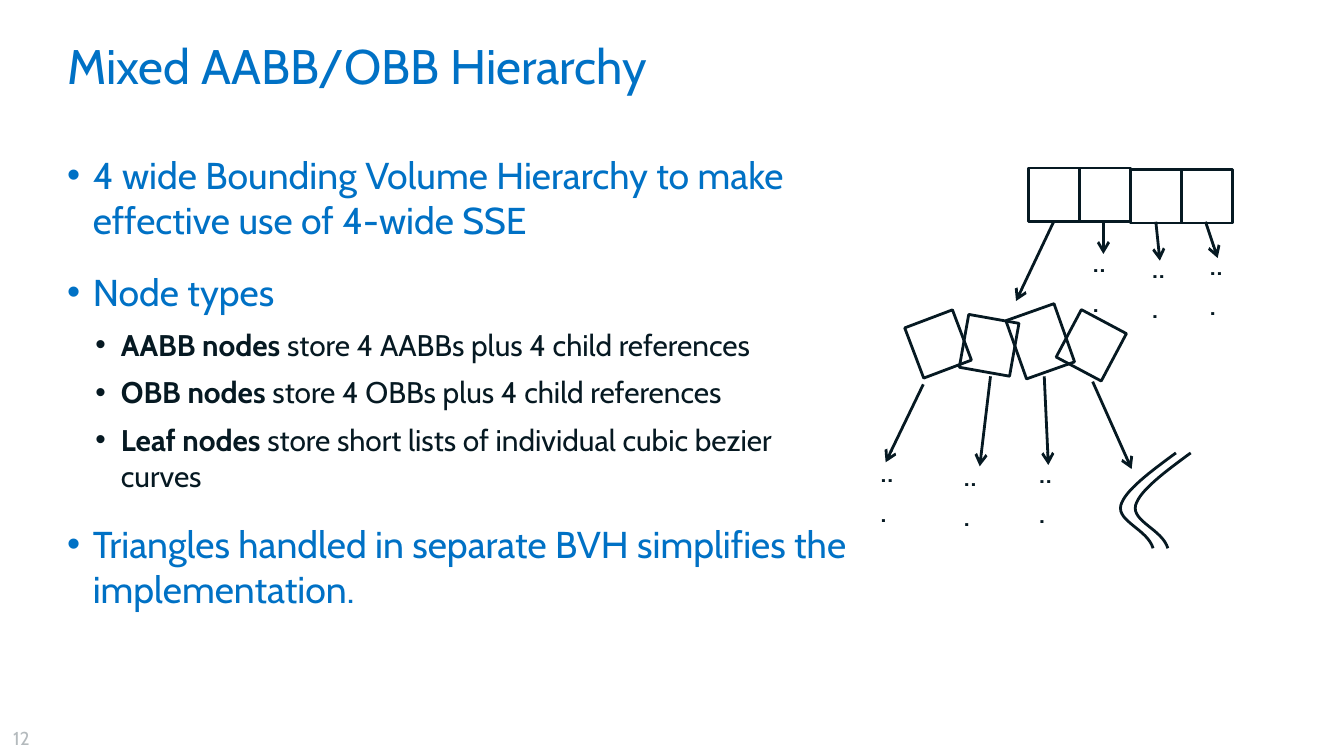
from pptx import Presentation
from pptx.dml.color import RGBColor
from pptx.enum.shapes import MSO_CONNECTOR, MSO_SHAPE
from pptx.enum.text import MSO_ANCHOR, MSO_AUTO_SIZE, PP_ALIGN
from pptx.oxml.ns import qn
from pptx.util import Inches, Pt
from lxml import etree

RECT = MSO_SHAPE.RECTANGLE
LINE = MSO_CONNECTOR.STRAIGHT
TOP = MSO_ANCHOR.TOP
LEFT = PP_ALIGN.LEFT
FIXED = MSO_AUTO_SIZE.NONE
FACE, BLUE, DARK, GREY, WHITE = "Cabin", "0071C5", "061922", "B4BABD", "FFFFFF"

# Content
TITLE = "Mixed AABB/OBB Hierarchy"
POINTS = [  # level, bold lead, text
    (0, "", "4 wide Bounding Volume Hierarchy to make effective use of 4-wide SSE"),
    (0, "", "Node types"),
    (1, "AABB nodes ", "store 4 AABBs plus 4 child references"),
    (1, "OBB nodes ", "store 4 OBBs plus 4 child references"),
    (1, "Leaf nodes ", "store short lists of individual cubic bezier curves"),
    (0, "", "Triangles handled in separate BVH simplifies the implementation."),
]
LEVELS = [  # size, colour, space before, indent
    (20, BLUE, 15, 0.19),
    (16, DARK, 6.4, 0.4),
]

# Diagram, in inches
SIDE, TALL = 0.38, 0.4
AABB_X, AABB_TOPS = 7.65, [1.25, 1.25, 1.26, 1.26]
OBB_X = 6.79
OBBS = [(2.36, TALL, -20.7), (2.37, TALL, 10.1),  # top, height, turn
        (2.31, 0.46, -19.5), (2.37, TALL, 28)]
ARROWS = [
    (7.84, 1.65, 7.56, 2.24), (8.21, 1.65, 8.21, 1.89),
    (8.6, 1.65, 8.63, 1.94), (8.97, 1.65, 9.06, 1.92),
    (6.87, 2.86, 6.59, 3.44), (7.37, 2.8, 7.29, 3.47),
    (7.77, 2.8, 7.8, 3.46), (8.13, 2.84, 8.42, 3.49),
]
DOTS = [(8.03, 1.73), (8.47, 1.77), (8.9, 1.75),
        (6.45, 3.29), (7.07, 3.32), (7.63, 3.3)]
HAIR = [  # two cubic pieces that share a point
    [(8.75, 3.37), (8.56, 3.51), (8.37, 3.65), (8.34, 3.76)],
    [(8.34, 3.76), (8.31, 3.88), (8.54, 3.94), (8.58, 4.08)],
]
HAIR_GAP, STEPS = 0.11, 16


def rgb(code):
    return RGBColor.from_string(code)


def style(para, size, color):
    font = para.font
    font.name, font.size, font.color.rgb = FACE, Pt(size), rgb(color)


def stroke(line):
    line.color.rgb, line.width = rgb(DARK), Pt(1.5)


def place(holder, *box):
    holder.left, holder.top, holder.width, holder.height = map(Inches, box)
    frame = holder.text_frame
    frame.margin_left = frame.margin_right = 0
    frame.margin_top = frame.margin_bottom = 0
    frame.vertical_anchor, frame.auto_size = TOP, FIXED
    frame.word_wrap = True
    return frame


def bullet(para, indent, color):
    props = para._p.get_or_add_pPr()
    props.set("marL", str(Inches(indent)))
    props.set("indent", str(Inches(-0.19)))
    tint = etree.SubElement(props, qn("a:buClr"))
    etree.SubElement(tint, qn("a:srgbClr"), val=color)
    etree.SubElement(props, qn("a:buFont"), typeface="Arial")
    etree.SubElement(props, qn("a:buChar"), char="•")


def label(text, size, color, *box):
    frame = slide.shapes.add_textbox(*map(Inches, box)).text_frame
    frame.word_wrap = True
    frame.text = text
    style(frame.paragraphs[0], size, color)


def node(x, y, tall, turn=0):
    box = slide.shapes.add_shape(RECT, *map(Inches, (x, y, SIDE, tall)))
    box.rotation = turn
    box.shadow.inherit = False
    box.fill.background()
    stroke(box.line)


def arrow(*ends):
    link = slide.shapes.add_connector(LINE, *map(Inches, ends))
    stroke(link.line)
    etree.SubElement(link.line._get_or_add_ln(), qn("a:tailEnd"), type="arrow")
    etree.SubElement(link._element.spPr, qn("a:effectLst"))


def cubic(pts, t):
    s = 1 - t
    parts = (s**3, 3 * s * s * t, 3 * s * t * t, t**3)
    return tuple(sum(w * p[axis] for w, p in zip(parts, pts)) for axis in (0, 1))


def hair(shift):
    pts = [cubic(piece, i / STEPS) for piece in HAIR for i in range(STEPS + 1)]
    pts = [(Inches(x + shift), Inches(y)) for x, y in pts]
    path = slide.shapes.build_freeform(*pts[0])
    path.add_line_segments(pts[1:], close=False)
    curve = path.convert_to_shape()
    curve.shadow.inherit = False
    curve.fill.solid()
    curve.fill.fore_color.rgb = rgb(WHITE)
    stroke(curve.line)


deck = Presentation()
deck.slide_width = Inches(10)
deck.slide_height = deck.slide_width * 9 // 16
slide = deck.slides.add_slide(deck.slide_layouts[1])

# Title
frame = place(slide.shapes.title, 0.5, 0.34, 9, 0.73)
frame.text = TITLE
head = frame.paragraphs[0]
head.alignment, head.line_spacing = LEFT, Pt(26)
style(head, 26, BLUE)

# Bullet list
frame = place(slide.placeholders[1], 0.5, 1.13, 5.81, 4.09)
for i, (level, lead, text) in enumerate(POINTS):
    para = frame.add_paragraph() if i else frame.paragraphs[0]
    size, color, gap, indent = LEVELS[level]
    para.level, para.space_before = level, Pt(gap)
    bullet(para, indent, color)
    style(para, size, color)
    if lead:
        run = para.add_run()
        run.text, run.font.bold = lead, True
    para.add_run().text = text

# Nodes
for i, y in enumerate(AABB_TOPS):
    node(AABB_X + i * SIDE, y, TALL)
for i, (y, tall, turn) in enumerate(OBBS):
    node(OBB_X + i * SIDE, y, tall, turn)

# Child references and leaf curves
for ends in ARROWS:
    arrow(*ends)
for shift in (0, HAIR_GAP):
    hair(shift)
for x, y in DOTS:
    label("...", 18, DARK, x, y, 0.34, 0.4)

# Slide number
label("12", 10, GREY, 0, 5.36, 0.39, 0.27)

deck.save("out.pptx")
